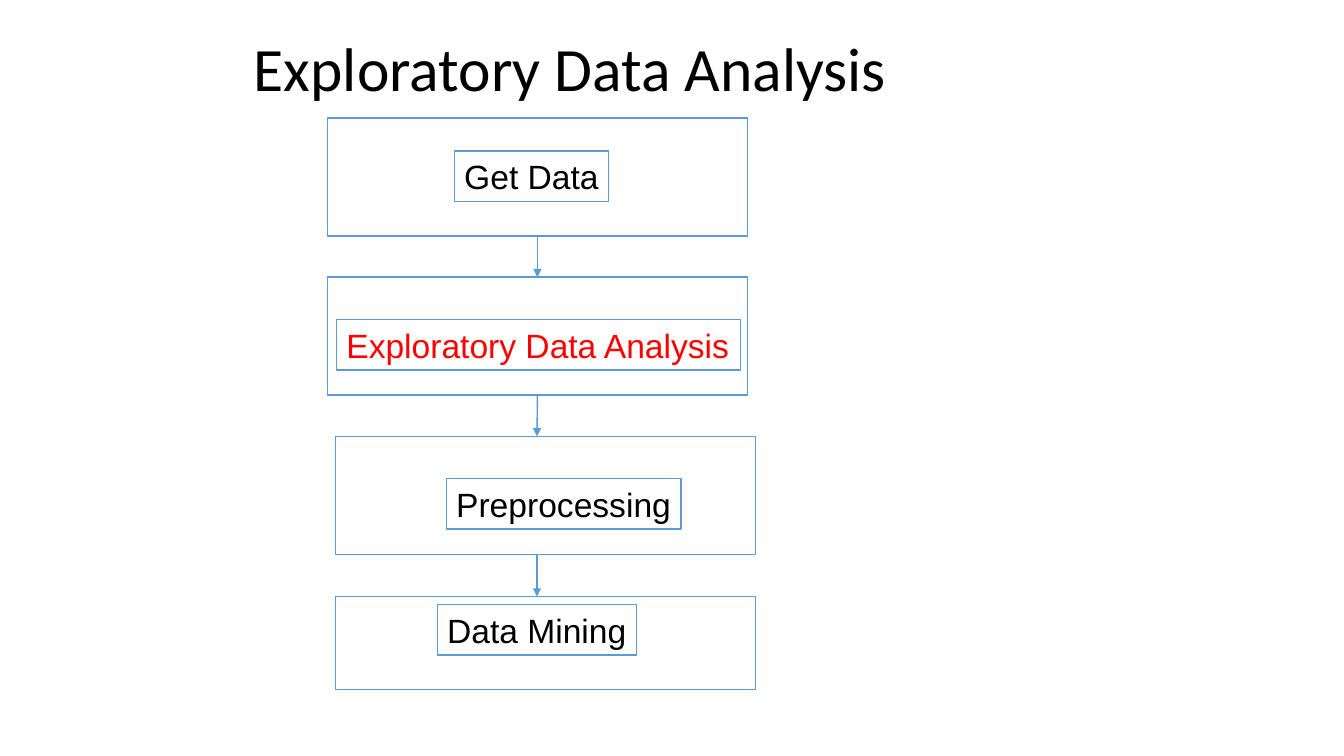
from dataclasses import dataclass

from pptx import Presentation
from pptx.dml.color import RGBColor
from pptx.enum.shapes import MSO_CONNECTOR, MSO_SHAPE
from pptx.enum.text import MSO_ANCHOR, MSO_AUTO_SIZE, PP_ALIGN
from pptx.oxml.ns import qn
from pptx.oxml.xmlchemy import OxmlElement
from pptx.shapes.autoshape import Shape
from pptx.shapes.connector import Connector
from pptx.slide import Slide
from pptx.text.text import TextFrame
from pptx.util import Inches, Pt

BLUE, BLACK, RED = "5B9BD5", "000000", "FF0000"
BOX_WIDTH = 4.17
LABEL_HEIGHT = 0.5
ARROW_X = 5.33
BOTTOM, TOP = 2, 0


@dataclass
class Step:
    text: str
    left: float
    top: float
    height: float
    label_left: float
    label_top: float
    label_width: float
    color: str = BLACK

    @property
    def bottom(self) -> float:
        return self.top + self.height

    @property
    def arrow_at_middle(self) -> bool:
        return abs(self.left + BOX_WIDTH / 2 - ARROW_X) < 0.02


STEPS = [
    Step("Get Data", 3.25, 1.17, 1.17, 4.51, 1.5, 1.53),
    Step("Exploratory Data Analysis", 3.25, 2.75, 1.17, 3.34, 3.17, 4.01, RED),
    Step("Preprocessing", 3.33, 4.33, 1.17, 4.43, 4.75, 2.33),
    Step("Data Mining", 3.33, 5.92, 0.92, 4.34, 6, 1.98),
]


def rgb(value: str) -> RGBColor:
    return RGBColor.from_string(value)


def write(frame: TextFrame, text: str, *, font: str, size: float,
          color: str = BLACK, spacing: float = 1.0) -> None:
    paragraph = frame.paragraphs[0]
    paragraph.alignment = PP_ALIGN.LEFT
    paragraph.line_spacing = spacing
    run = paragraph.add_run()
    run.text = text
    run.font.name = font
    run.font.size = Pt(size)
    run.font.color.rgb = rgb(color)


def add_outline(slide: Slide, left: float, top: float,
                width: float, height: float) -> Shape:
    outline = slide.shapes.add_shape(
        MSO_SHAPE.RECTANGLE, Inches(left), Inches(top), Inches(width), Inches(height))
    outline.shadow.inherit = False
    outline.fill.background()
    outline.line.color.rgb = rgb(BLUE)
    outline.line.width = Pt(1)
    return outline


def add_step(slide: Slide, step: Step) -> Shape:
    """Draw the step's box and its label, and return the box."""
    box = add_outline(slide, step.left, step.top, BOX_WIDTH, step.height)
    label = add_outline(slide, step.label_left, step.label_top,
                        step.label_width, LABEL_HEIGHT)
    frame = label.text_frame
    frame.word_wrap = False
    frame.auto_size = MSO_AUTO_SIZE.NONE
    frame.vertical_anchor = MSO_ANCHOR.TOP
    frame.margin_left, frame.margin_right = Inches(0.1), Inches(0)
    write(frame, step.text, font="Arial", size=24, color=step.color)
    return box


def add_arrow(slide: Slide, start: float, end: float) -> Connector:
    arrow = slide.shapes.add_connector(
        MSO_CONNECTOR.STRAIGHT, Inches(ARROW_X), Inches(start),
        Inches(ARROW_X), Inches(end))
    arrow.line.color.rgb = rgb(BLUE)
    arrow.line.width = Pt(1)
    properties = arrow.element.spPr
    head = OxmlElement("a:tailEnd")
    head.set("type", "triangle")
    properties.find(qn("a:ln")).append(head)
    properties.append(OxmlElement("a:effectLst"))
    return arrow


def add_title(slide: Slide, text: str) -> None:
    title = slide.shapes.title
    title.left, title.top = Inches(2.42), Inches(0.42)
    title.width, title.height = Inches(9.06), Inches(0.58)
    frame = title.text_frame
    frame.auto_size = MSO_AUTO_SIZE.NONE
    frame.vertical_anchor = MSO_ANCHOR.MIDDLE
    write(frame, text, font="Calibri", size=44, spacing=0.9)


def main() -> None:
    deck = Presentation()
    deck.slide_width, deck.slide_height = Inches(13.34), Inches(7.5)
    slide = deck.slides.add_slide(deck.slide_layouts[5])
    add_title(slide, "Exploratory Data Analysis")

    boxes = [add_step(slide, step) for step in STEPS]
    flow = list(zip(STEPS, boxes))
    for (step, box), (next_step, next_box) in zip(flow, flow[1:]):
        arrow = add_arrow(slide, step.bottom, next_step.top)
        if step.arrow_at_middle:
            arrow.begin_connect(box, BOTTOM)
        if next_step.arrow_at_middle:
            arrow.end_connect(next_box, TOP)

    deck.save("out.pptx")


if __name__ == "__main__":
    main()
